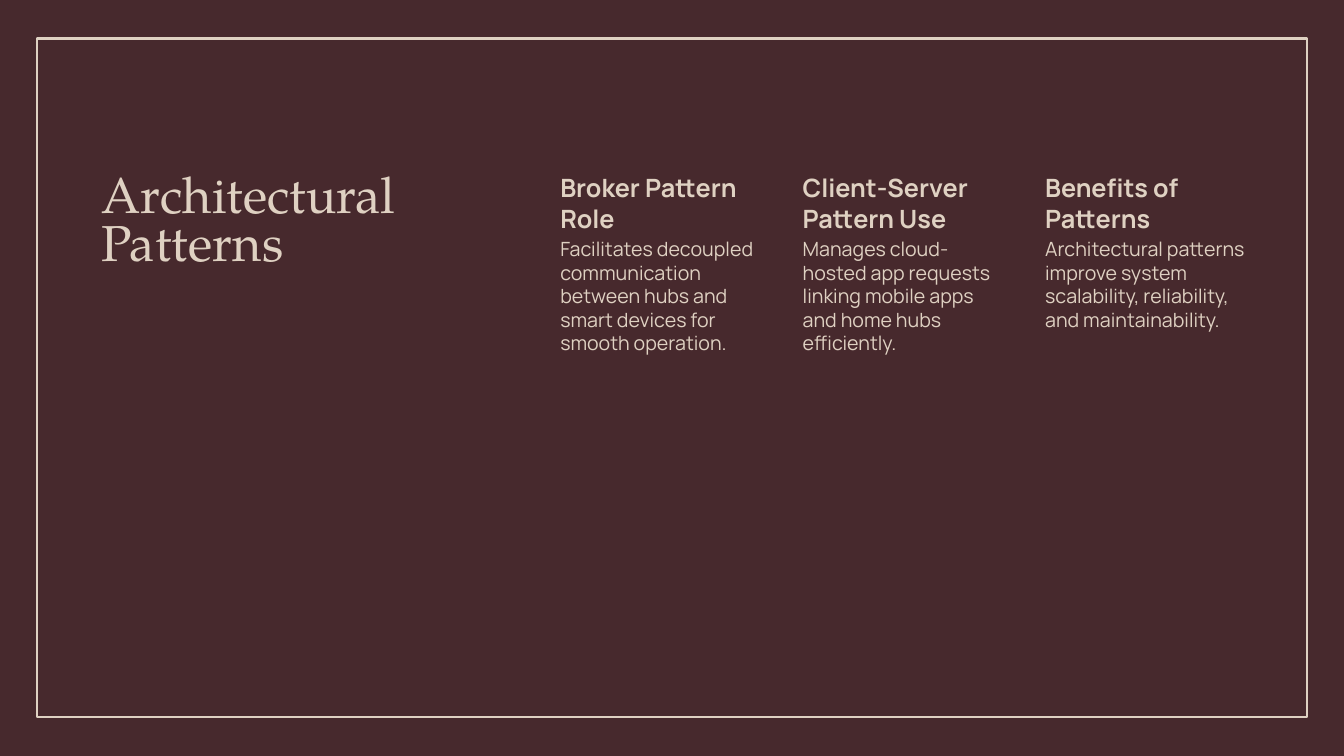
from pptx import Presentation
from pptx.dml.color import RGBColor
from pptx.enum.shapes import MSO_SHAPE
from pptx.enum.text import MSO_ANCHOR, PP_ALIGN
from pptx.util import Cm, Pt

TITLE = "Architectural Patterns"
PATTERNS = [
    ("Broker Pattern Role",
     "Facilitates decoupled communication between hubs and smart devices for smooth operation."),
    ("Client-Server Pattern Use",
     "Manages cloud-hosted app requests linking mobile apps and home hubs efficiently."),
    ("Benefits of Patterns",
     "Architectural patterns improve system scalability, reliability, and maintainability."),
]
COLORS = {"background": "47292D", "cream": "DFD1C2"}
TITLE_FONT, BODY_FONT = "TeX Gyre Pagella", "Manrope"

TOP, BOTTOM = 4.27, 15.62
HEADING_HEIGHT = 1.65
COLUMN_LEFT, COLUMN_WIDTH, COLUMN_STEP = 13.74, 5.56, 6.11


def add_text(page, text, *, left, top, width, height, size, font=BODY_FONT,
             bold=False, spacing=None, insets=(0.38, 0.05, 0.05, 0.05)):
    box = page.shapes.add_textbox(Cm(left), Cm(top), Cm(width), Cm(height))
    frame = box.text_frame
    frame.word_wrap = True
    frame.vertical_anchor = MSO_ANCHOR.TOP
    (frame.margin_left, frame.margin_top,
     frame.margin_right, frame.margin_bottom) = map(Cm, insets)
    para = frame.paragraphs[0]
    para.alignment = PP_ALIGN.LEFT
    if spacing:
        para.line_spacing = spacing
    span = para.add_run()
    span.text = text
    span.font.name = font
    span.font.size = Pt(size)
    span.font.bold = bold
    span.font.color.rgb = RGBColor.from_string(COLORS["cream"])


def main():
    deck = Presentation()
    deck.slide_width, deck.slide_height = Cm(33.87), Cm(19.05)
    page = deck.slides.add_slide(deck.slide_layouts[6])
    page.background.fill.solid()
    page.background.fill.fore_color.rgb = RGBColor.from_string(COLORS["background"])

    border = page.shapes.add_shape(
        MSO_SHAPE.RECTANGLE, Cm(0.94), Cm(0.97), Cm(32), Cm(17.09))
    border.shadow.inherit = False
    border.fill.background()
    border.line.color.rgb = RGBColor.from_string(COLORS["cream"])
    border.line.width = Pt(1.5)

    add_text(page, TITLE, left=2.31, top=TOP, width=10.9, height=BOTTOM - TOP,
             size=36, font=TITLE_FONT, spacing=0.8, insets=(0.25, 0.13, 0.25, 0.13))

    body_top = TOP + HEADING_HEIGHT
    for index, (heading, body) in enumerate(PATTERNS):
        left = COLUMN_LEFT + index * COLUMN_STEP
        add_text(page, heading, left=left, top=TOP, width=COLUMN_WIDTH,
                 height=HEADING_HEIGHT, size=18, bold=True,
                 insets=(0.38, 0.08, 0.08, 0.08))
        add_text(page, body, left=left, top=body_top, width=COLUMN_WIDTH,
                 height=BOTTOM - body_top, size=14)

    deck.save("out.pptx")


if __name__ == "__main__":
    main()
